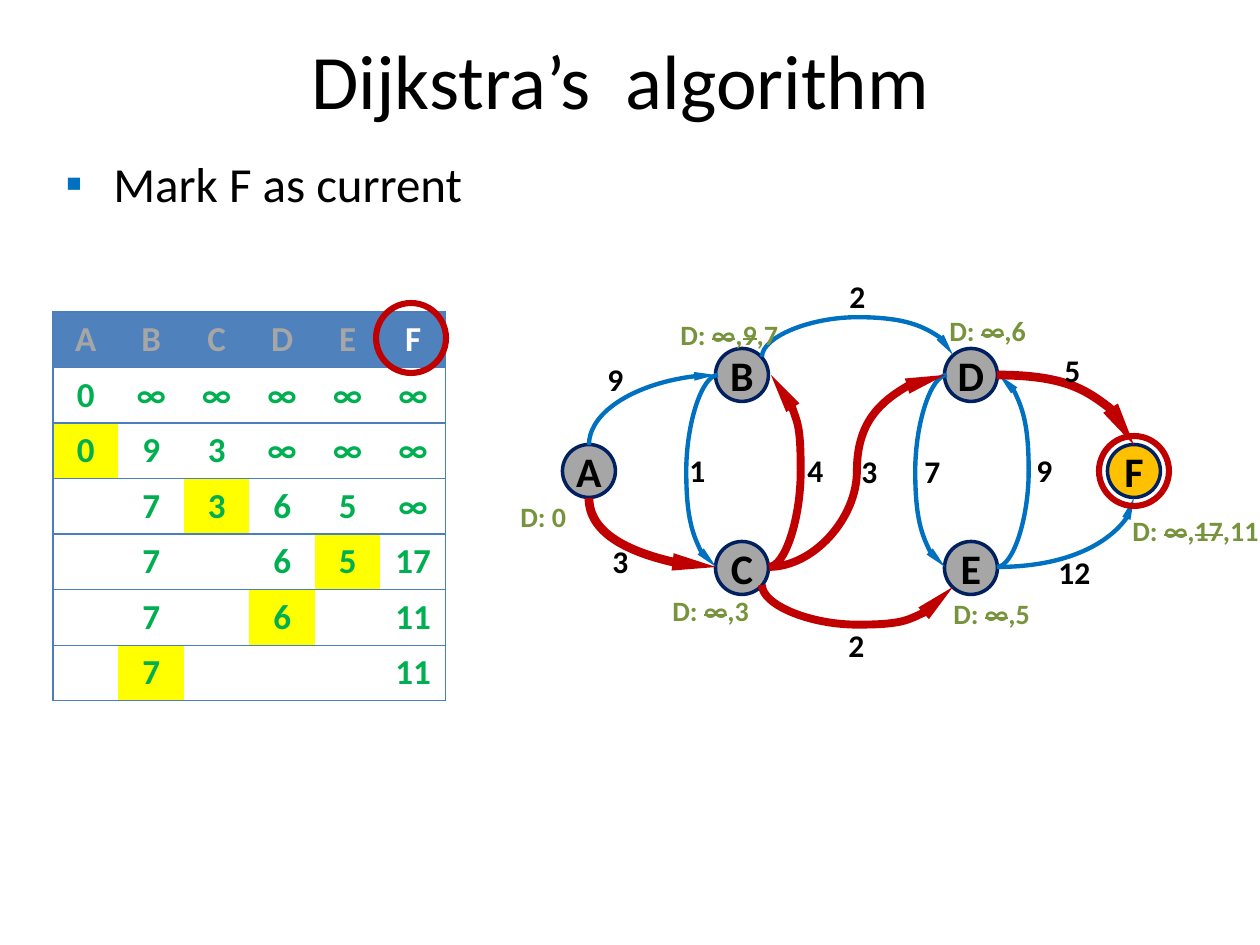
import pptx
import pptx.dml.color
import pptx.enum.shapes
import pptx.enum.text
import pptx.oxml
import pptx.oxml.ns
import pptx.util
from lxml import etree

COLORS = {"black": "000000", "white": "FFFFFF", "gray": "A6A6A6", "navy": "002060",
          "amber": "FFC000", "blue": "0070C0", "red": "C00000", "olive": "77933C",
          "green": "00B050", "yellow": "FFFF00", "header": "4F81BD", "border": "4B7EBC"}
FONT = "Calibri"
NODE = 53
RING = 70

NODES = {"A": (589, 471), "B": (742, 375), "C": (742, 568),
         "D": (971, 375), "E": (971, 568), "F": (1134, 471)}

ROWS = ["A B C D E F", "0 ∞ ∞ ∞ ∞ ∞", "0 9 3 ∞ ∞ ∞", "- 7 3 6 5 ∞",
        "- 7 - 6 5 17", "- 7 - 6 - 11", "- 7 - - - 11"]
VISITED = {(2, 0), (3, 2), (4, 4), (5, 3), (6, 1)}

# start, end, bend count, rotation, flips, adjustment, colour, width
EDGES = [
    ((589, 445), (716, 375), 2, 90, "hv", None, "blue", 2.5),
    ((718, 375), (716, 567), 3, 180, "v", 16, "blue", 2.5),
    ((762, 357), (953, 355), 3, 90, "hv", 20, "blue", 2.5),
    ((769, 567), (771, 375), 3, 0, "v", 16, "red", 4.5),
    ((589, 498), (716, 567), 2, 270, "h", None, "red", 5),
    ((762, 585), (953, 587), 3, 270, "h", 20, "red", 4.5),
    ((997, 567), (999, 375), 3, 0, "v", 16, "blue", 2.5),
    ((947, 375), (945, 567), 3, 180, "v", 16, "blue", 2.5),
    ((997, 375), (1134, 445), 2, 0, "", None, "red", 5),
    ((997, 567), (1134, 498), 2, 0, "v", None, "blue", 2.5),
    ((769, 567), (945, 375), 3, 0, "v", 0.5, "red", 4.5),
]

WEIGHTS = [("9", 595, 354), ("3", 849, 446), ("1", 677, 445), ("3", 600, 536),
           ("4", 795, 445), ("7", 912, 446), ("9", 1024, 445), ("2", 837, 271),
           ("2", 836, 620), ("12", 1046, 547), ("5", 1052, 345)]

DISTANCES = [(["D: 0"], 508, 493, 72), (["D: ", "∞", ",3"], 660, 587, 103),
             (["D: ", "∞", ",", "17", ",11"], 1120, 507, 154),
             (["D: ", "∞", ",6"], 937, 307, 103), (["D: ", "∞", ",5"], 941, 590, 103),
             (["D: ", "∞", ",", "9", ",7"], 668, 311, 125)]


def px(length):
    return pptx.util.Emu(round(length * 914400 / 126))


def rgb(name):
    return pptx.dml.color.RGBColor.from_string(COLORS[name])


def style(font, size, color, bold=False):
    font.name = FONT
    font.size = pptx.util.Pt(size)
    font.bold = bold
    font.color.rgb = rgb(color)


def add_text(page, spans, left, top, width, height, size, color, bold=True, wrap=False):
    box = page.shapes.add_textbox(px(left), px(top), px(width), px(height))
    box.text_frame.word_wrap = wrap
    para = box.text_frame.paragraphs[0]
    for index, text in enumerate(spans):
        span = para.add_run()
        span.text = text
        style(span.font, size, color, bold)
        if index % 2:
            span.font._element.set("strike", "sngStrike")
    return box


def add_title(page, text):
    box = add_text(page, [text], 0, 0, 1241, 158, 44, "black", False, True)
    box.text_frame.vertical_anchor = pptx.enum.text.MSO_ANCHOR.MIDDLE
    box.text_frame.paragraphs[0].alignment = pptx.enum.text.PP_ALIGN.CENTER


def add_bullet(page, text):
    box = add_text(page, [text], 53, 147, 1179, 129, 28, "black", False, True)
    para = box.text_frame.paragraphs[0]
    para.space_after = pptx.util.Pt(6)
    properties = para._p.get_or_add_pPr()
    properties.set("marL", str(px(48)))
    properties.set("indent", str(px(-48)))
    color = etree.SubElement(properties, pptx.oxml.ns.qn("a:buClr"))
    etree.SubElement(color, pptx.oxml.ns.qn("a:srgbClr"), val=COLORS["blue"])
    etree.SubElement(properties, pptx.oxml.ns.qn("a:buFont"), typeface="Arial")
    etree.SubElement(properties, pptx.oxml.ns.qn("a:buChar"), char="▪")


def add_circle(page, center, size, line, width, fill=None, text=""):
    x, y = center
    circle = page.shapes.add_shape(pptx.enum.shapes.MSO_SHAPE.OVAL, px(x - size / 2),
                                   px(y - size / 2), px(size), px(size))
    circle.shadow.inherit = False
    circle.line.color.rgb = rgb(line)
    circle.line.width = pptx.util.Pt(width)
    if fill is None:
        circle.fill.background()
        return
    circle.fill.solid()
    circle.fill.fore_color.rgb = rgb(fill)
    frame = circle.text_frame
    frame.margin_left = frame.margin_right = frame.margin_top = frame.margin_bottom = 0
    frame.word_wrap = False
    frame.vertical_anchor = pptx.enum.text.MSO_ANCHOR.MIDDLE
    frame.text = text
    frame.paragraphs[0].alignment = pptx.enum.text.PP_ALIGN.CENTER
    style(frame.paragraphs[0].runs[0].font, 24, "black", True)


def add_edge(page, start, end, bends, rotation, flips, adjustment, color, width):
    edge = page.shapes.add_connector(pptx.enum.shapes.MSO_CONNECTOR.CURVE, 0, 0, 0, 0)
    across, down = abs(end[0] - start[0]), abs(end[1] - start[1])
    if rotation in (90, 270):
        across, down = down, across
    edge.left = px((start[0] + end[0] - across) / 2)
    edge.top = px((start[1] + end[1] - down) / 2)
    edge.width, edge.height = px(across), px(down)
    properties = edge._element.spPr
    frame = properties.find(pptx.oxml.ns.qn("a:xfrm"))
    frame.set("rot", str(rotation * 60000))
    for flip in flips:
        frame.set("flip" + flip.upper(), "1")
    geometry = properties.find(pptx.oxml.ns.qn("a:prstGeom"))
    geometry.set("prst", f"curvedConnector{bends}")
    if adjustment is not None:
        guides = geometry.find(pptx.oxml.ns.qn("a:avLst"))
        etree.SubElement(guides, pptx.oxml.ns.qn("a:gd"), name="adj1",
                         fmla=f"val {round(adjustment * 100000)}")
    edge.line.color.rgb = rgb(color)
    edge.line.width = pptx.util.Pt(width)
    etree.SubElement(edge.line._get_or_add_ln(), pptx.oxml.ns.qn("a:tailEnd"),
                     type="triangle", w="sm", len="lg")
    etree.SubElement(properties, pptx.oxml.ns.qn("a:effectLst"))


def set_borders(cell, sides):
    properties = cell._tc.get_or_add_tcPr()
    for index, side in enumerate("LRTB"):
        line = etree.Element(pptx.oxml.ns.qn(f"a:ln{side}"), w="9525")
        if side in sides:
            fill = etree.SubElement(line, pptx.oxml.ns.qn("a:solidFill"))
            etree.SubElement(fill, pptx.oxml.ns.qn("a:srgbClr"), val=COLORS["border"])
        else:
            etree.SubElement(line, pptx.oxml.ns.qn("a:noFill"))
        properties.insert(index, line)


def add_distance_table(page):
    grid = [row.split() for row in ROWS]
    last = len(grid[0]) - 1
    table = page.shapes.add_table(len(grid), last + 1, px(53), px(312), px(393), px(388)).table
    for r, row in enumerate(grid):
        for c, value in enumerate(row):
            cell = table.cell(r, c)
            fill = "header" if r == 0 else "yellow" if (r, c) in VISITED else None
            if fill:
                cell.fill.solid()
                cell.fill.fore_color.rgb = rgb(fill)
            else:
                cell.fill.background()
            set_borders(cell, "TB" + "L" * (c == 0) + "R" * (c == last))
            if value == "-":
                continue
            cell.text = value
            para = cell.text_frame.paragraphs[0]
            para.alignment = pptx.enum.text.PP_ALIGN.CENTER
            color = "green" if r else "white" if c == last else "gray"
            style(para.runs[0].font, 20, color, True)


def main():
    deck = pptx.Presentation()
    deck.slide_width, deck.slide_height = px(1260), px(945)
    page = deck.slides.add_slide(deck.slide_layouts[6])
    add_distance_table(page)
    add_bullet(page, "Mark F as current")
    add_title(page, "Dijkstra’s  algorithm")
    for name, center in NODES.items():
        add_circle(page, center, NODE, "navy", 2, "amber" if name == "F" else "gray", name)
    for edge in EDGES:
        add_edge(page, *edge)
    for text, left, top in WEIGHTS:
        add_text(page, [text], left, top, 25 + 17 * len(text), 50, 18, "black")
    for spans, left, top, width in DISTANCES:
        add_text(page, spans, left, top, width, 47, 16, "olive")
    for center in (NODES["F"], (411, 338)):
        add_circle(page, center, RING, "red", 3.5)
    deck.save("out.pptx")


if __name__ == "__main__":
    main()
